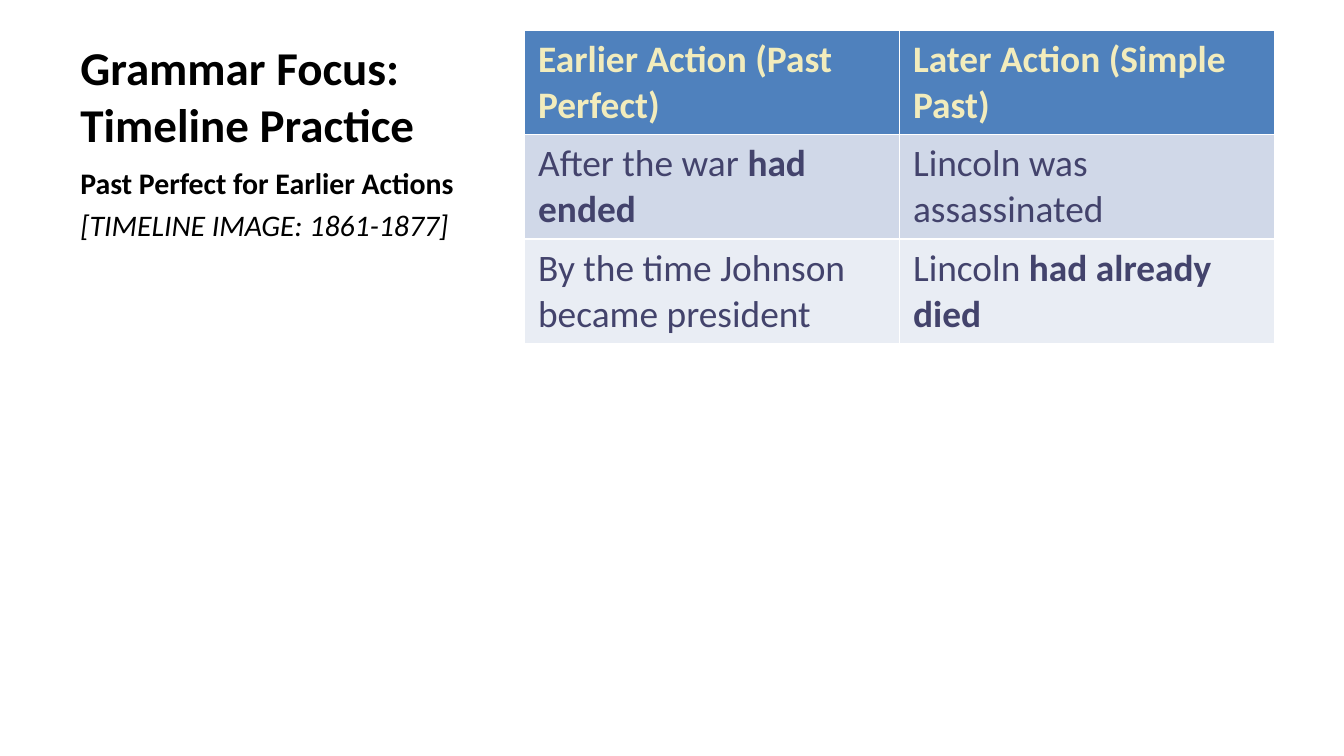
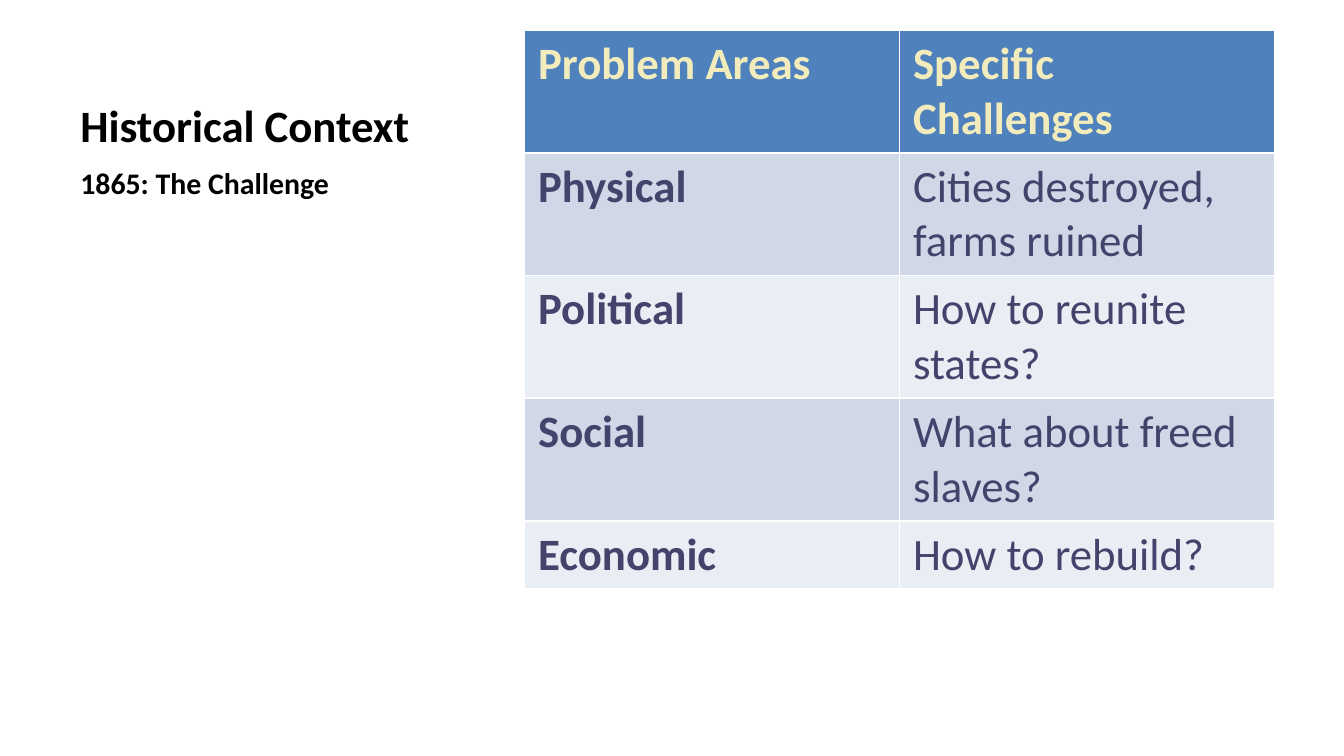
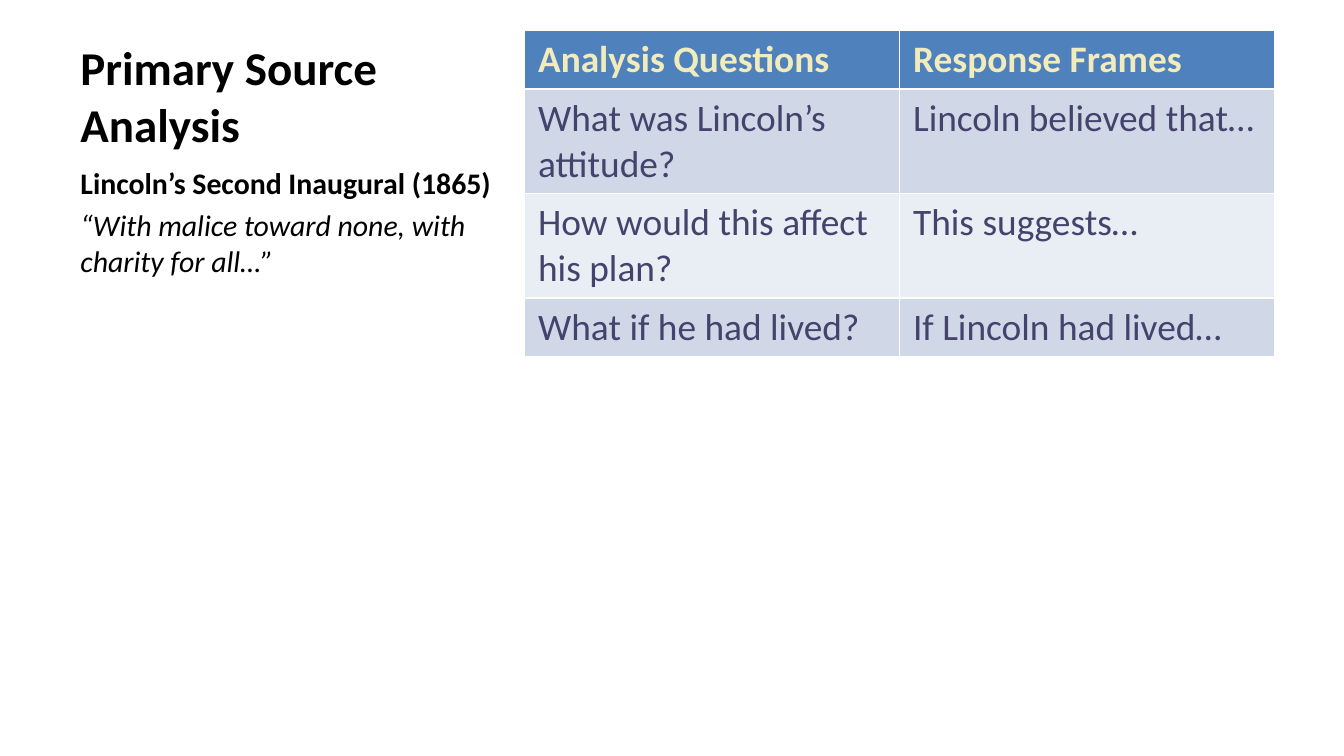
from pptx import Presentation
from pptx.dml.color import RGBColor
from pptx.enum.text import MSO_ANCHOR
from pptx.util import Pt

BLACK = RGBColor(0x00, 0x00, 0x00)
WHITE = RGBColor(0xFF, 0xFF, 0xFF)
CREAM = RGBColor(0xF2, 0xEC, 0xBC)
INDIGO = RGBColor(0x43, 0x43, 0x6C)
BLUE = RGBColor(0x4F, 0x81, 0xBD)
BANDS = (RGBColor(0xD0, 0xD8, 0xE8), RGBColor(0xE9, 0xED, 0xF4))

FONT = "Calibri"
GRID = 100
TITLE_AREA = (5, 3.98, 32.9, 16.94)
BODY_AREA = (5, 20.92, 32.9, 68.4)
TABLE_AREA = (39.04, 3.98, 55.8)
BODY_SIZE = 16
LINE_SPACING = 1.22
CELL_PADDING = 7.2


class Deck:
    def __init__(self):
        self.presentation = Presentation()
        self.presentation.slide_width = Pt(720)
        self.presentation.slide_height = Pt(405)
        self.slide = None

    def column(self, count):
        return round(self.presentation.slide_width * count / GRID)

    def row(self, count):
        return round(self.presentation.slide_height * count / GRID)

    def add_slide(self):
        self.slide = self.presentation.slides.add_slide(self.presentation.slide_layouts[6])
        self.slide.background.fill.solid()
        self.slide.background.fill.fore_color.rgb = WHITE

    def style(self, run, size, color, bold=False, italic=False):
        run.font.name = FONT
        run.font.size = Pt(size)
        run.font.color.rgb = color
        run.font.bold = bold
        run.font.italic = italic

    def text_frame(self, area, anchor):
        left, top, width, height = area
        shape = self.slide.shapes.add_textbox(
            self.column(left), self.row(top), self.column(width), self.row(height)
        )
        shape.text_frame.word_wrap = True
        shape.text_frame.vertical_anchor = anchor
        return shape.text_frame

    def title(self, text, size):
        text_frame = self.text_frame(TITLE_AREA, MSO_ANCHOR.BOTTOM)
        text_frame.text = text
        self.style(text_frame.paragraphs[0].runs[0], size, BLACK, bold=True)

    def body(self, heading, detail=None):
        text_frame = self.text_frame(BODY_AREA, MSO_ANCHOR.TOP)
        text_frame.text = heading
        self.style(text_frame.paragraphs[0].runs[0], BODY_SIZE, BLACK, bold=True)
        if detail:
            paragraph = text_frame.add_paragraph()
            paragraph.text = detail
            paragraph.space_before = Pt(BODY_SIZE * 0.2)
            self.style(paragraph.runs[0], BODY_SIZE, BLACK, italic=True)

    def cell(self, cell, text, size, color, fill, header):
        cell.fill.solid()
        cell.fill.fore_color.rgb = fill
        paragraph = cell.text_frame.paragraphs[0]
        for index, part in enumerate(text.split("*")):
            if part:
                run = paragraph.add_run()
                run.text = part
                self.style(run, size, color, bold=header or index % 2 == 1)

    def table(self, rows, line_counts, size):
        left, top, width = TABLE_AREA
        heights = [Pt(lines * size * LINE_SPACING + CELL_PADDING) for lines in line_counts]
        table = self.slide.shapes.add_table(
            len(rows), len(rows[0]),
            self.column(left), self.row(top), self.column(width), sum(heights),
        ).table
        for row_index, texts in enumerate(rows):
            table.rows[row_index].height = heights[row_index]
            header = row_index == 0
            color = CREAM if header else INDIGO
            fill = BLUE if header else BANDS[(row_index - 1) % 2]
            for column_index, text in enumerate(texts):
                self.cell(table.cell(row_index, column_index), text, size, color, fill, header)

    def save(self):
        self.presentation.save("out.pptx")


def main():
    deck = Deck()

    deck.add_slide()
    deck.title("Grammar Focus: Timeline Practice", 25.2)
    deck.body("Past Perfect for Earlier Actions", "[TIMELINE IMAGE: 1861-1877]")
    deck.table([
        ("Earlier Action (Past Perfect)", "Later Action (Simple Past)"),
        ("After the war *had ended*", "Lincoln was assassinated"),
        ("By the time Johnson became president", "Lincoln *had already died*"),
    ], (2, 2, 2), 20)

    deck.add_slide()
    deck.title("Historical Context", 24)
    deck.body("1865: The Challenge")
    deck.table([
        ("Problem Areas", "Specific Challenges"),
        ("*Physical*", "Cities destroyed, farms ruined"),
        ("*Political*", "How to reunite states?"),
        ("*Social*", "What about freed slaves?"),
        ("*Economic*", "How to rebuild?"),
    ], (2, 2, 2, 2, 1), 24)

    deck.add_slide()
    deck.title("Primary Source Analysis", 25.2)
    deck.body(
        "Lincoln’s Second Inaugural (1865)",
        "“With malice toward none, with charity for all…”",
    )
    deck.table([
        ("Analysis Questions", "Response Frames"),
        ("What was Lincoln’s attitude?", "Lincoln believed that…"),
        ("How would this affect his plan?", "This suggests…"),
        ("What if he had lived?", "If Lincoln had lived…"),
    ], (1, 2, 2, 1), 20)

    deck.save()


if __name__ == "__main__":
    main()
